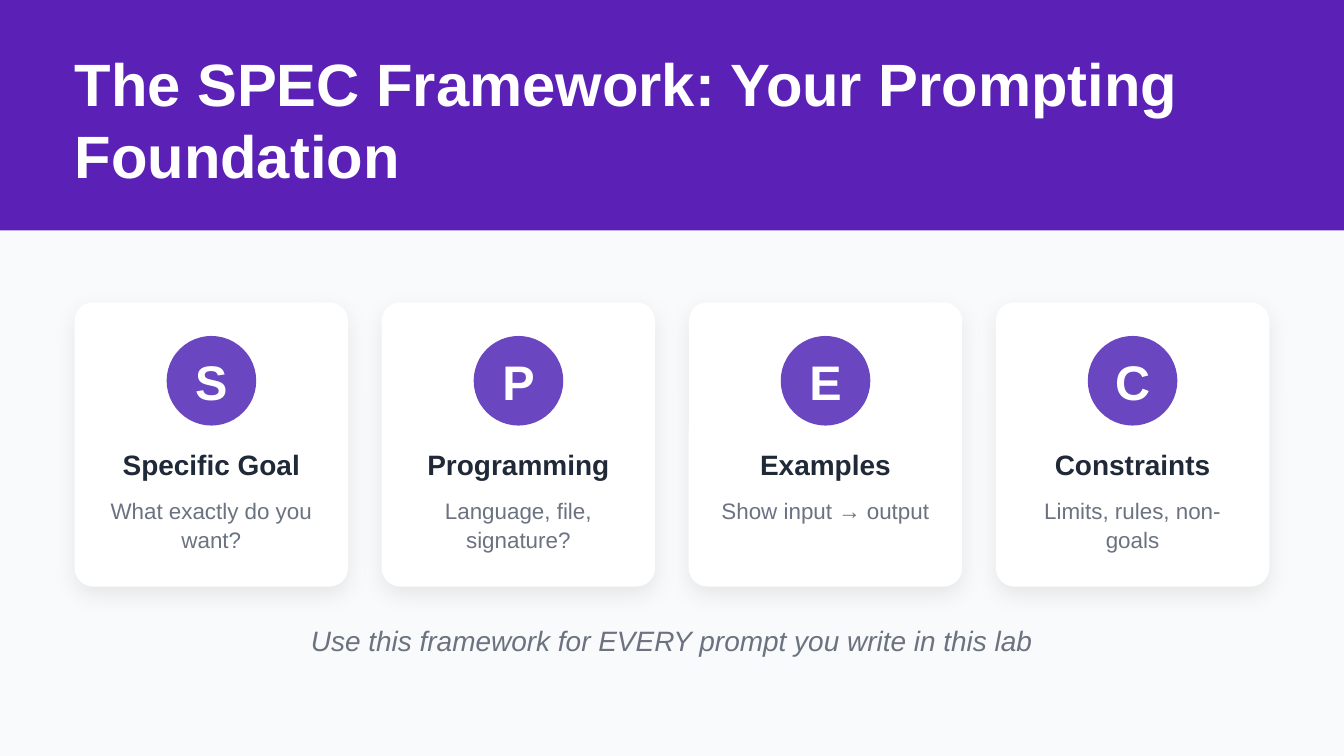
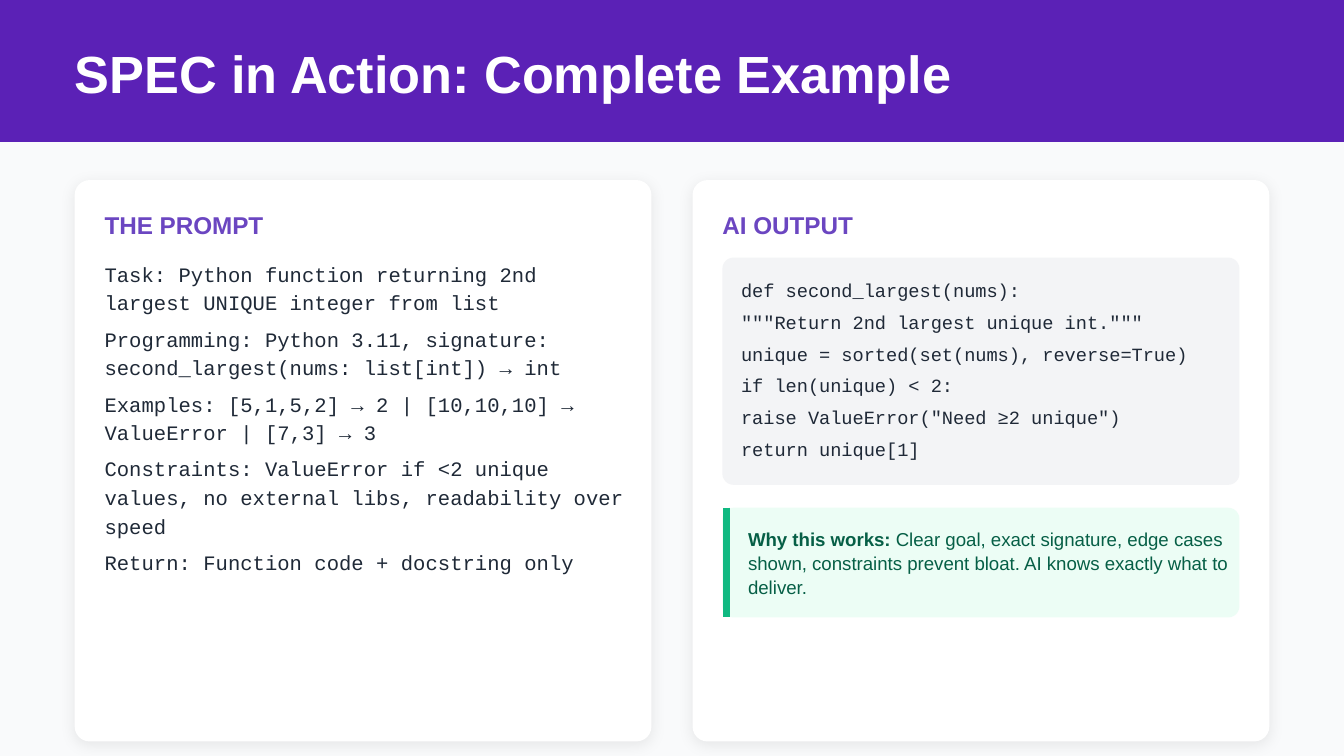
"""Build two slides that present the SPEC prompting framework."""
import lxml.etree
import pptx
import pptx.dml.color
import pptx.enum.shapes
import pptx.enum.text
import pptx.oxml.ns
import pptx.util

Pt = pptx.util.Pt
rgb = pptx.dml.color.RGBColor.from_string
qn = pptx.oxml.ns.qn
Shape = pptx.enum.shapes.MSO_SHAPE
Align = pptx.enum.text.PP_ALIGN
Anchor = pptx.enum.text.MSO_ANCHOR

BAND, ACCENT, WHITE, BACKGROUND = "5B21B6", "6B46C1", "FFFFFF", "F9FAFB"
INK, MUTED, CODE_FILL = "1F2937", "6B7280", "F3F4F6"
NOTE_FILL, NOTE_LINE, NOTE_INK = "ECFDF5", "10B981", "065F46"
MARGIN, CONTENT_WIDTH = 40, 640


def add_panel(slide, kind, left, top, width, height, color, radius=0, shadow=None):
    """Add a filled shape, with a corner radius and a (blur, distance) shadow if given."""
    shape = slide.shapes.add_shape(kind, Pt(left), Pt(top), Pt(width), Pt(height))
    shape.fill.solid()
    shape.fill.fore_color.rgb = rgb(color)
    shape.line.fill.background()
    shape.shadow.inherit = False
    if radius:
        shape.adjustments[0] = radius / min(width, height)
    if shadow:
        blur, distance = shadow
        effects = shape._element.spPr.find(qn("a:effectLst"))
        outer = lxml.etree.SubElement(
            effects, qn("a:outerShdw"), blurRad=str(Pt(blur)), dist=str(Pt(distance)),
            dir="5400000", algn="bl", rotWithShape="0")
        black = lxml.etree.SubElement(outer, qn("a:srgbClr"), val="000000")
        lxml.etree.SubElement(black, qn("a:alpha"), val="8000")
    return shape


def write_text(shape, *texts, box=None, size=12, color=INK, font="Arial", bold=False,
               italic=False, align=Align.LEFT, anchor=Anchor.TOP, leading=None,
               after=0, lead=""):
    """Write one paragraph per text; lead is a bold opening of the first one."""
    if box:
        shape.left, shape.top, shape.width, shape.height = map(Pt, box)
    if shape.is_placeholder:
        shape._element.getparent().append(shape._element)
    frame = shape.text_frame
    frame.word_wrap = True
    frame.auto_size = pptx.enum.text.MSO_AUTO_SIZE.NONE
    frame.vertical_anchor = anchor
    frame.margin_left = frame.margin_top = frame.margin_right = frame.margin_bottom = 0
    for index, text in enumerate(texts):
        paragraph = frame.add_paragraph() if index else frame.paragraphs[0]
        if shape.is_placeholder:
            properties = paragraph._p.get_or_add_pPr()
            properties.set("marL", "0")
            properties.set("indent", "0")
            lxml.etree.SubElement(properties, qn("a:buNone"))
        paragraph.alignment = align
        paragraph.space_before = Pt(0)
        paragraph.space_after = Pt(after)
        if leading:
            paragraph.line_spacing = Pt(leading)
        pieces = [(text, bold)]
        if lead and index == 0:
            pieces.insert(0, (lead, True))
        for words, heavy in pieces:
            run = paragraph.add_run()
            run.text = words
            run.font.name = font
            run.font.size = Pt(size)
            run.font.bold = heavy
            run.font.italic = italic
            run.font.color.rgb = rgb(color)


presentation = pptx.Presentation()
presentation.slide_width, presentation.slide_height = Pt(720), Pt(405)
master_fill = presentation.slide_master.background.fill
master_fill.solid()
master_fill.fore_color.rgb = rgb(BACKGROUND)

slides = []
for layout, title, size, band_height, title_top, title_height in (
    (5, "The SPEC Framework: Your Prompting Foundation", 32, 123.5, 25, 74),
    (1, "SPEC in Action: Complete Example", 28, 76, 22, 33),
):
    slide = presentation.slides.add_slide(presentation.slide_layouts[layout])
    add_panel(slide, Shape.RECTANGLE, 0, 0, 720, band_height, BAND)
    write_text(slide.shapes.title, title, box=(MARGIN, title_top, 653, title_height),
               size=size, color=WHITE, bold=True)
    slides.append(slide)
framework, example = slides

steps = (
    ("S", "Specific Goal", "What exactly do you want?"),
    ("P", "Programming", "Language, file, signature?"),
    ("E", "Examples", "Show input → output"),
    ("C", "Constraints", "Limits, rules, non-goals"),
)
step_gap, badge_size, step_padding = 18, 48, 16.75
step_width = (CONTENT_WIDTH - step_gap * (len(steps) - 1)) / len(steps)
for index, (letter, heading, question) in enumerate(steps):
    left = MARGIN + index * (step_width + step_gap)
    add_panel(framework, Shape.ROUNDED_RECTANGLE, left, 162, step_width, 152.25, WHITE,
              radius=10, shadow=(12, 4))
    badge = add_panel(framework, Shape.OVAL, left + (step_width - badge_size) / 2, 180,
                      badge_size, badge_size, ACCENT)
    write_text(badge, letter, size=26, color=WHITE, bold=True, align=Align.CENTER,
               anchor=Anchor.MIDDLE)
    text_left, text_width = left + step_padding, step_width - 2 * step_padding
    write_text(framework.shapes.add_textbox(0, 0, 0, 0), heading,
               box=(text_left, 240, text_width, 17), size=15, bold=True,
               align=Align.CENTER)
    write_text(framework.shapes.add_textbox(0, 0, 0, 0), question,
               box=(text_left, 265, text_width, 31), color=MUTED, leading=15.6,
               align=Align.CENTER)
write_text(framework.shapes.add_textbox(0, 0, 0, 0),
           "Use this framework for EVERY prompt you write in this lab",
           box=(33.5, 334, 653, 17), size=15, color=MUTED, italic=True,
           align=Align.CENTER)

column_gap, column_padding = 22, 16
column_width = (CONTENT_WIDTH - column_gap) / 2
inner_width = column_width - 2 * column_padding
prompt_left = MARGIN + column_padding
output_left = prompt_left + column_width + column_gap
for heading, left in (("THE PROMPT", prompt_left), ("AI OUTPUT", output_left)):
    add_panel(example, Shape.ROUNDED_RECTANGLE, left - column_padding, 96.5,
              column_width, 300.75, WHITE, radius=8, shadow=(8, 2))
    write_text(example.shapes.add_textbox(0, 0, 0, 0), heading,
               box=(left, 112.5, 282, 16), size=13, color=ACCENT, bold=True)

write_text(
    example.placeholders[1],
    "Task: Python function returning 2nd largest UNIQUE integer from list",
    "Programming: Python 3.11, signature: second_largest(nums: list[int]) → int",
    "Examples: [5,1,5,2] → 2 | [10,10,10] → ValueError | [7,3] → 3",
    "Constraints: ValueError if <2 unique values, no external libs, readability over speed",
    "Return: Function code + docstring only",
    box=(prompt_left, 138, 282, 170), size=11, font="Courier New", leading=15.4, after=4)

add_panel(example, Shape.ROUNDED_RECTANGLE, output_left, 138, inner_width, 121.75,
          CODE_FILL, radius=6)
write_text(
    example.shapes.add_textbox(0, 0, 0, 0),
    "def second_largest(nums):",
    '"""Return 2nd largest unique int."""',
    "unique = sorted(set(nums), reverse=True)",
    "if len(unique) < 2:",
    'raise ValueError("Need ≥2 unique")',
    "return unique[1]",
    box=(output_left + 10, 148.5, 262, 98), size=10, font="Courier New", leading=13,
    after=4)

note_top, note_height = 272, 58.75
add_panel(example, Shape.ROUNDED_RECTANGLE, output_left, note_top, inner_width,
          note_height, NOTE_FILL, radius=6)
note_bar = example.shapes.add_connector(
    pptx.enum.shapes.MSO_CONNECTOR.STRAIGHT, Pt(output_left + 2), Pt(note_top),
    Pt(output_left + 2), Pt(note_top + note_height))
note_bar.line.color.rgb = rgb(NOTE_LINE)
note_bar.line.width = Pt(3.75)
lxml.etree.SubElement(note_bar._element.spPr, qn("a:effectLst"))
write_text(
    example.shapes.add_textbox(0, 0, 0, 0),
    " Clear goal, exact signature, edge cases shown, constraints prevent bloat. "
    "AI knows exactly what to deliver.",
    lead="Why this works:", box=(output_left + 13.75, 281.75, 258.5, 39), size=10,
    color=NOTE_INK, leading=13)

presentation.save("out.pptx")
